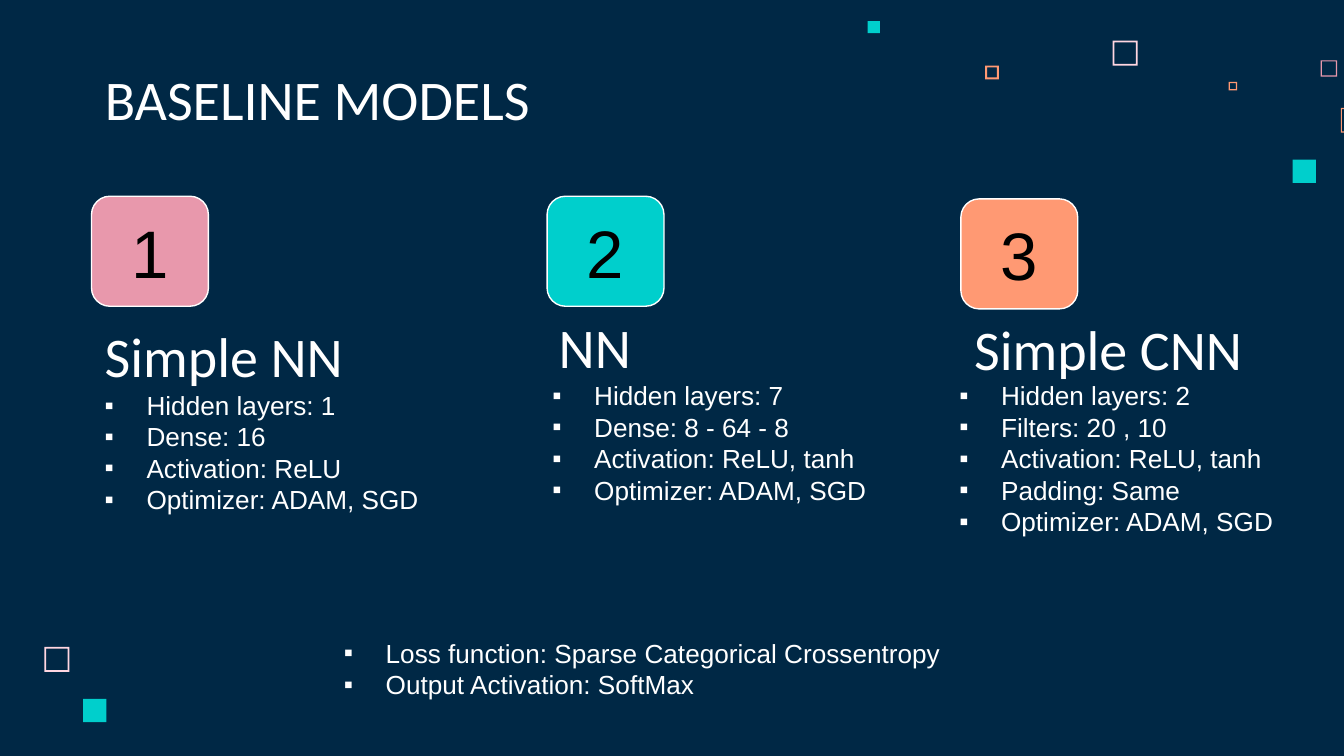
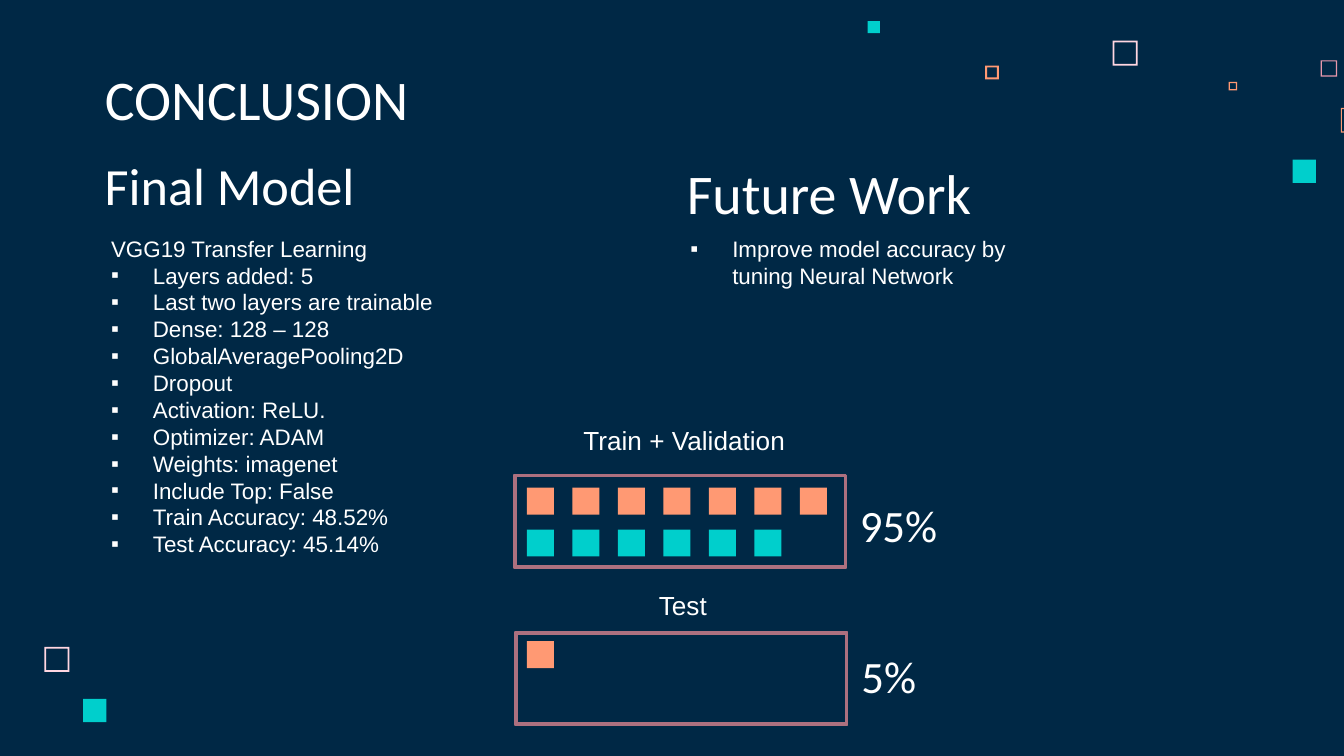
from lxml.etree import SubElement
from pptx import Presentation
from pptx.dml.color import RGBColor
from pptx.enum.shapes import MSO_SHAPE as Shape
from pptx.enum.text import MSO_ANCHOR as Anchor, MSO_AUTO_SIZE as AutoSize, PP_ALIGN as Align
from pptx.oxml.ns import qn
from pptx.util import Cm, Pt

COLORS = {
    "navy": "002845",
    "white": "FFFFFF",
    "black": "000000",
    "blush": "FFD6E1",
    "pink": "E898AC",
    "rose": "AC707F",
    "orange": "FF9973",
    "teal": "00CFCC",
}
RGB = {name: RGBColor.from_string(value) for name, value in COLORS.items()}
BULLET_INDENT = Cm(0.79)


def write_text(shape, lines, size=14, font="Arial", color="white", align=Align.LEFT,
               anchor=Anchor.TOP, bullets_from=None, vertical_inset=0.25):
    """Fill a shape with one paragraph per line, bulleted from the given line on."""
    frame = shape.text_frame
    frame.word_wrap = True
    frame.auto_size = AutoSize.NONE
    frame.vertical_anchor = anchor
    frame.margin_left = frame.margin_right = Cm(0.25)
    frame.margin_top = frame.margin_bottom = Cm(vertical_inset)
    for index, line in enumerate(lines):
        paragraph = frame.add_paragraph() if index else frame.paragraphs[0]
        paragraph.alignment = align
        run = paragraph.add_run()
        run.text = line
        run.font.size = Pt(size)
        run.font.name = font
        run.font.color.rgb = RGB[color]
        if bullets_from is not None and index >= bullets_from:
            properties = paragraph._p.get_or_add_pPr()
            properties.set("marL", str(BULLET_INDENT))
            properties.set("indent", str(-BULLET_INDENT))
            bullet_color = SubElement(properties, qn("a:buClr"))
            SubElement(bullet_color, qn("a:srgbClr"), val=COLORS["white"])
            SubElement(properties, qn("a:buFont"), typeface="Arial")
            SubElement(properties, qn("a:buChar"), char="▪")


def add_box(slide, kind, bounds, fill, line=None, line_width=0.75, adjustment=None):
    shape = slide.shapes.add_shape(kind, *map(Cm, bounds))
    shape.shadow.inherit = False
    shape.fill.solid()
    shape.fill.fore_color.rgb = RGB[fill]
    if line:
        shape.line.color.rgb = RGB[line]
        shape.line.width = Pt(line_width)
    else:
        shape.line.fill.background()
    if adjustment is not None:
        shape.adjustments[0] = adjustment
    return shape


presentation = Presentation()
presentation.slide_width = Cm(25.4)
presentation.slide_height = Cm(14.29)
background = presentation.slide_master.background.fill
background.solid()
background.fore_color.rgb = RGB["navy"]

# Both slides: title style, and scattered squares that live on the layout
layout = presentation.slide_layouts.get_by_name("Title Only")
slides = []
for title_text in ("BASELINE MODELS", "CONCLUSION"):
    slide = presentation.slides.add_slide(layout)
    title = slide.shapes.title
    title.left, title.top, title.width, title.height = map(Cm, (1.73, 1.14, 13.13, 1.6))
    write_text(title, [title_text], size=30, font="Calibri", anchor=Anchor.BOTTOM)
    slides.append(slide)
models_slide, conclusion_slide = slides

# left, top, side, colour, border as a share of the side (None is solid)
scattered_squares = [
    (21.03, 0.77, 0.47, "blush", 0.07),
    (24.96, 1.14, 0.31, "pink", 0.07),
    (23.22, 1.55, 0.16, "orange", 0.15),
    (25.34, 2.04, 0.47, "orange", 0.05),
    (24.43, 3.02, 0.44, "teal", None),
    (18.62, 1.24, 0.26, "orange", 0.14),
    (16.4, 0.4, 0.23, "teal", None),
    (0.84, 12.23, 0.47, "blush", 0.07),
    (1.57, 13.21, 0.44, "teal", None),
]
for left, top, side, color, border in scattered_squares:
    kind = Shape.FRAME if border else Shape.RECTANGLE
    square = add_box(models_slide, kind, (left, top, side, side), color, adjustment=border)
    layout.shapes.element.append(square.element)

# Slide 1: three numbered models
# colour, badge position, heading, heading bounds, details bounds, details
models = [
    ("pink", (1.73, 3.71), "Simple NN", (1.73, 5.99, 5.97, 1.6), (1.73, 7.11, 7.75, 3.99),
     ["Hidden layers: 1", "Dense: 16", "Activation: ReLU", "Optimizer: ADAM, SGD"]),
    ("teal", (10.34, 3.71), "NN", (10.31, 5.82, 5.97, 1.6), (10.19, 6.93, 7.54, 4.17),
     ["Hidden layers: 7", "Dense: 8 - 64 - 8", "Activation: ReLU, tanh", "Optimizer: ADAM, SGD"]),
    ("orange", (18.16, 3.76), "Simple CNN", (18.16, 5.87, 6.4, 1.6), (17.88, 6.93, 7.98, 4.5),
     ["Hidden layers: 2", "Filters: 20 , 10", "Activation: ReLU, tanh", "Padding: Same",
      "Optimizer: ADAM, SGD"]),
]
for number, (color, position, heading, heading_bounds, details_bounds, details) in enumerate(models, 1):
    badge = add_box(models_slide, Shape.ROUNDED_RECTANGLE, (*position, 2.21, 2.08), color,
                    line="white", adjustment=0.167)
    write_text(badge, [str(number)], size=36, color="black", align=Align.CENTER,
               anchor=Anchor.MIDDLE)
    heading_box = models_slide.shapes.add_textbox(*map(Cm, heading_bounds))
    write_text(heading_box, [heading], size=30, font="Calibri", anchor=Anchor.BOTTOM)
    details_box = models_slide.shapes.add_textbox(*map(Cm, details_bounds))
    write_text(details_box, details, bullets_from=0)

shared_settings = models_slide.shapes.add_textbox(Cm(6.25), Cm(11.91), Cm(14.02), Cm(1.45))
write_text(shared_settings,
           ["Loss function: Sparse Categorical Crossentropy", "Output Activation: SoftMax"],
           bullets_from=0, vertical_inset=0.13)

# Slide 2: final model and future work
# heading, heading size, heading position, body bounds, body, first bulleted line
sections = [
    ("Final Model", 28, (1.73, 2.74), (1.85, 4.19, 7.54, 6.3),
     ["VGG19 Transfer Learning", "Layers added: 5", "Last two layers are trainable",
      "Dense: 128 – 128", "GlobalAveragePooling2D", "Dropout", "Activation: ReLU.",
      "Optimizer: ADAM", "Weights: imagenet", "Include Top: False",
      "Train Accuracy: 48.52%", "Test Accuracy: 45.14%"], 1),
    ("Future Work", 30, (12.73, 2.92), (12.8, 4.19, 7.54, 3.81),
     ["Improve model accuracy by tuning Neural Network"], 0),
]
for heading, size, position, body_bounds, body, first_bullet in sections:
    heading_box = conclusion_slide.shapes.add_textbox(*map(Cm, (*position, 5.97, 1.6)))
    write_text(heading_box, [heading], size=size, font="Calibri", anchor=Anchor.BOTTOM)
    body_box = conclusion_slide.shapes.add_textbox(*map(Cm, body_bounds))
    write_text(body_box, body, size=12, bullets_from=first_bullet)

# Slide 2: data split drawn as rows of tiles
# label, label bounds, share, share bounds, frame position, rows of (top, count, colour)
splits = [
    ("Train + Validation", (10.64, 7.77, 4.45, 1.09), "95%", (16, 9.37, 3.35, 1.09),
     (9.73, 8.99), [(9.22, 7, "orange"), (10.01, 6, "teal")]),
    ("Test", (12.01, 10.9, 1.6, 1.09), "5%", (16.03, 12.22, 2.34, 1.09),
     (9.75, 11.96), [(12.12, 1, "orange")]),
]
for label, label_bounds, share, share_bounds, frame_position, rows in splits:
    label_box = conclusion_slide.shapes.add_textbox(*map(Cm, label_bounds))
    write_text(label_box, [label], align=Align.RIGHT, anchor=Anchor.MIDDLE)
    share_box = conclusion_slide.shapes.add_textbox(*map(Cm, share_bounds))
    write_text(share_box, [share], size=24, font="Calibri", anchor=Anchor.MIDDLE)
    add_box(conclusion_slide, Shape.FRAME, (*frame_position, 6.25, 1.73), "pink",
            line="rose", line_width=2, adjustment=0)
    for top, count, color in rows:
        for column in range(count):
            add_box(conclusion_slide, Shape.RECTANGLE,
                    (9.96 + 0.86 * column, top, 0.51, 0.51), color)

presentation.save("out.pptx")
